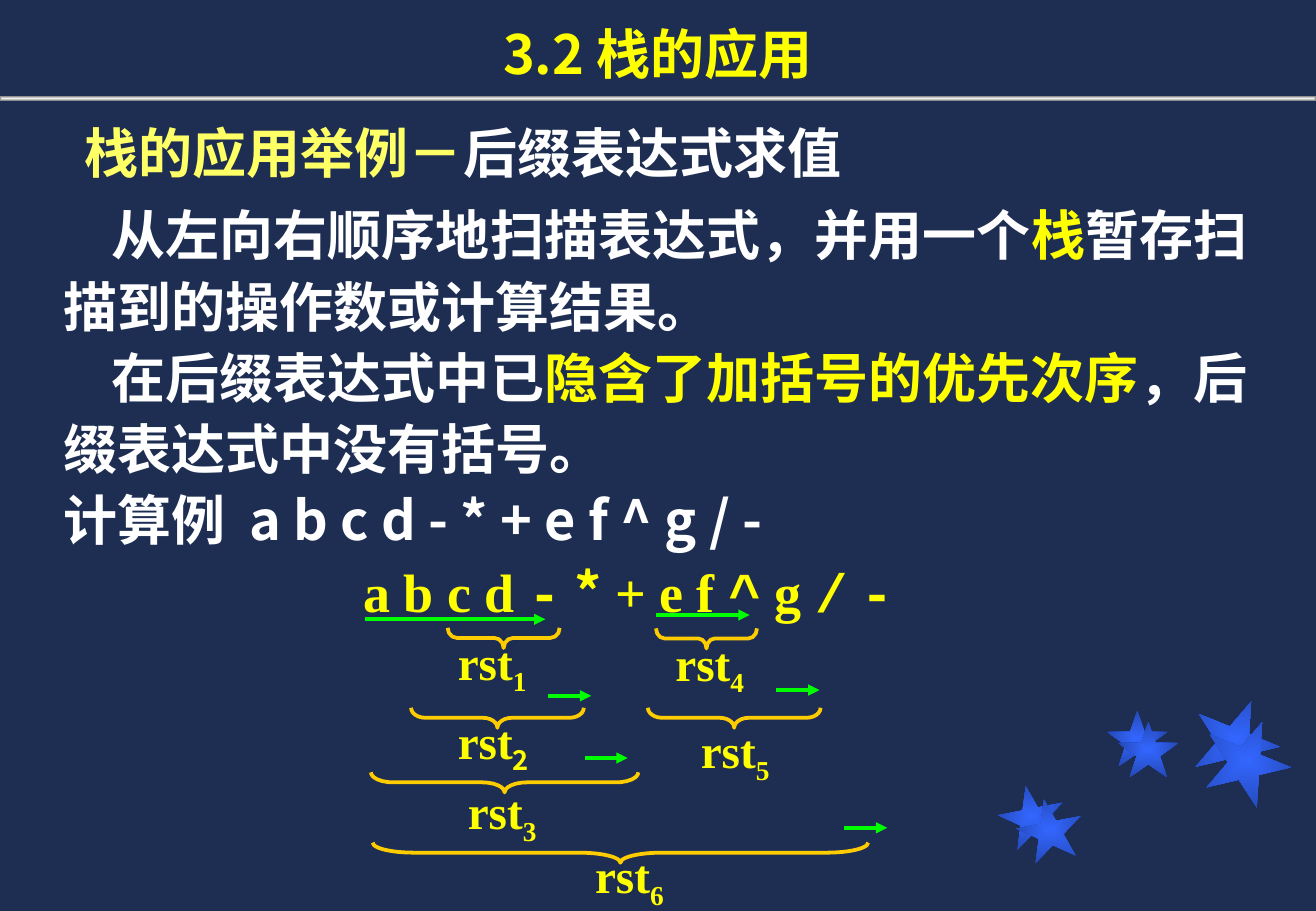
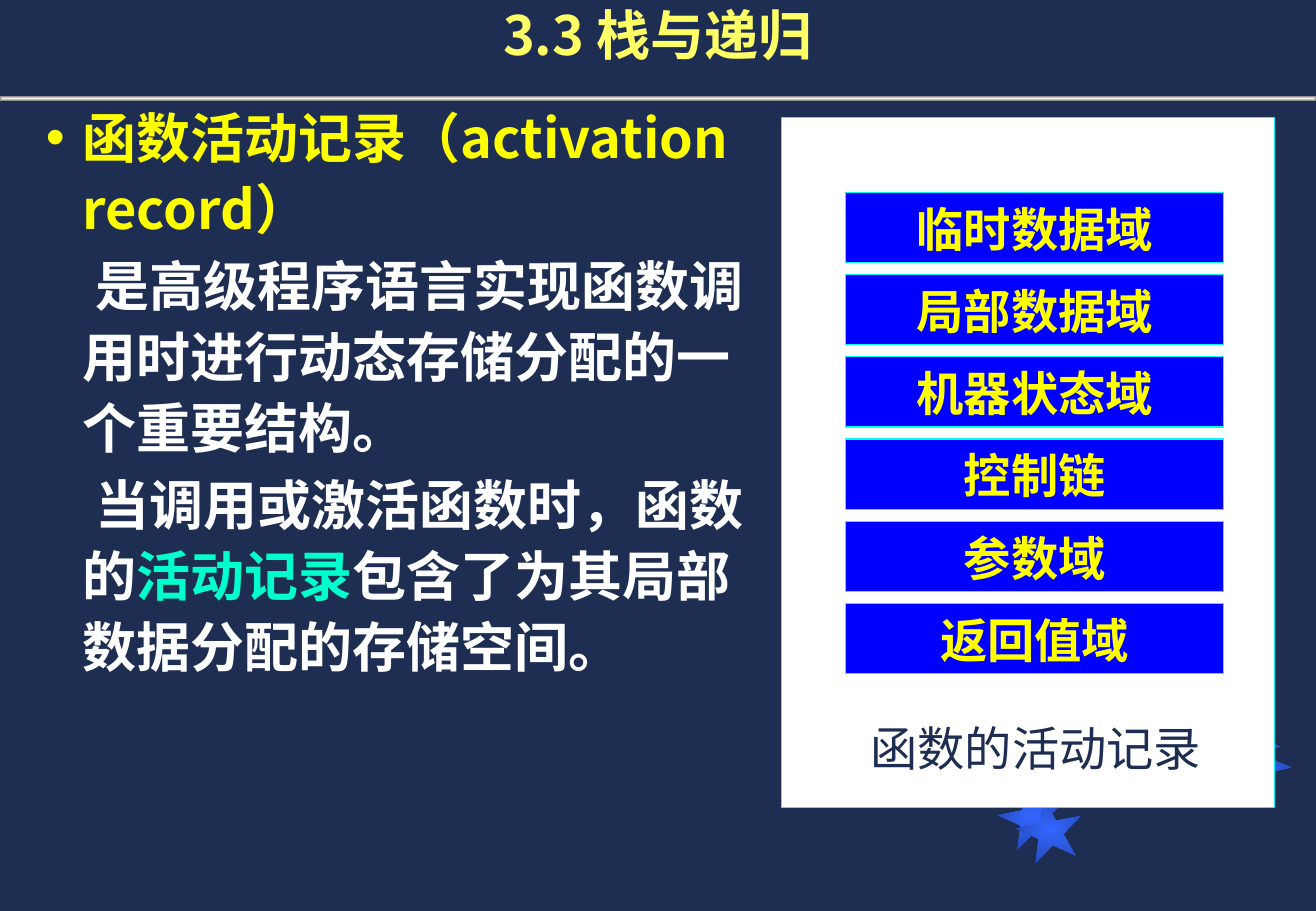
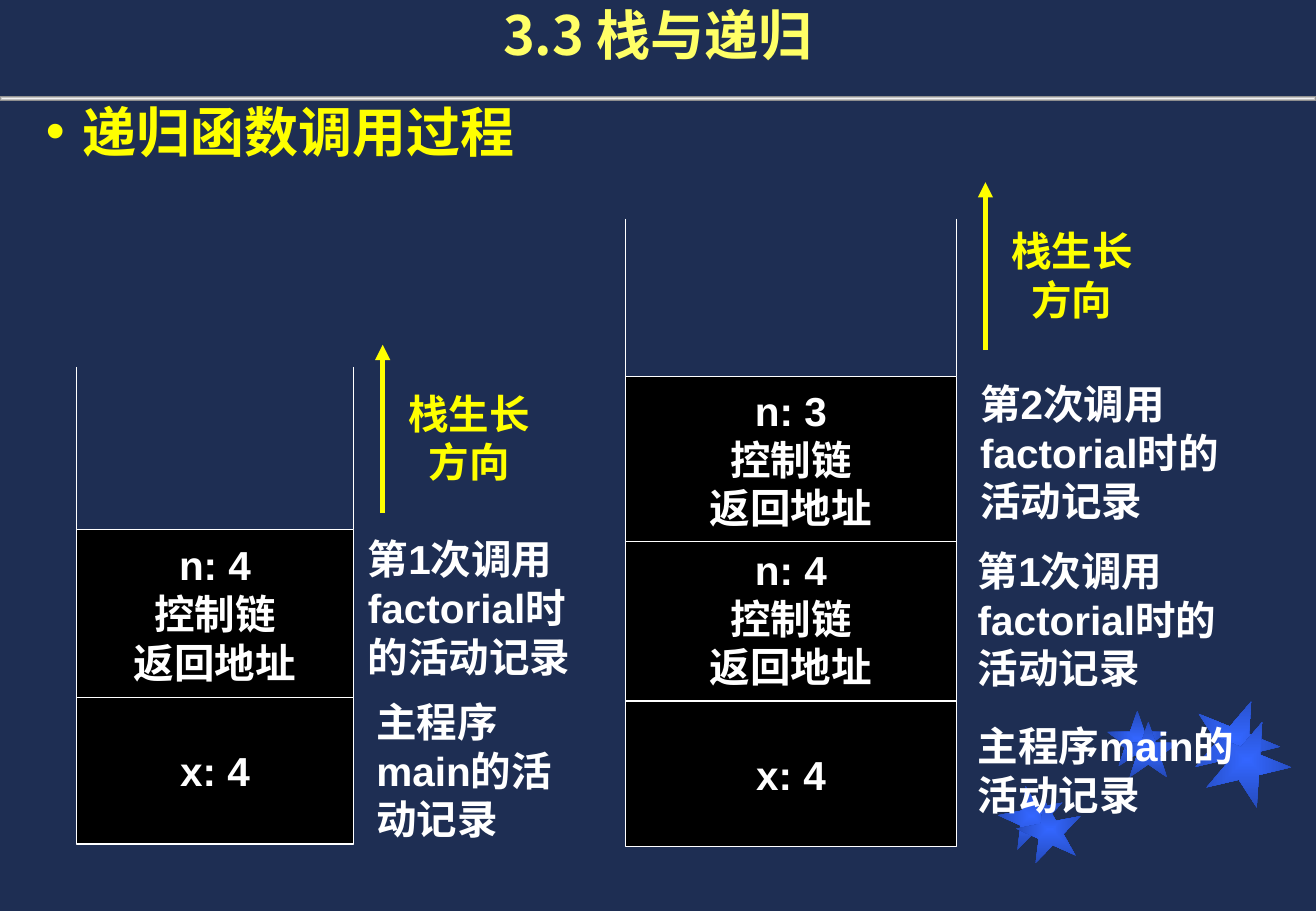
from dataclasses import dataclass

from lxml.etree import SubElement
from pptx import Presentation
from pptx.dml.color import RGBColor
from pptx.enum.shapes import MSO_CONNECTOR, MSO_SHAPE
from pptx.enum.text import MSO_ANCHOR, MSO_AUTO_SIZE, PP_ALIGN
from pptx.oxml.ns import qn
from pptx.util import Cm, Pt


@dataclass(frozen=True)
class Theme:
    navy: str = "1E2E53"
    white: str = "FFFFFF"
    black: str = "000000"
    yellow: str = "FFFF00"
    pale: str = "FFFF66"
    mint: str = "00FFCC"
    gold: str = "FFCC00"
    green: str = "00FF00"
    cyan: str = "00FFFF"
    blue: str = "0000FF"
    star: tuple = ("3366FF", "2449B6")
    bar: tuple = ("F2F2F2", "808080")
    cjk: str = "Noto Sans CJK SC"
    latin: str = "Arial"
    serif: str = "Times New Roman"
    mono: str = "Courier New"
    head: int = 32
    label: int = 28
    small: int = 24


T = Theme()
rgb = RGBColor.from_string


def box(s, x, y, w, h, shape=None, fill=None, line=None, width=0.75,
        anchor=MSO_ANCHOR.TOP, wrap=True):
    """Add a text box, or a preset shape when one is named."""
    at = Cm(x), Cm(y), Cm(w), Cm(h)
    if shape is None:
        sp = s.shapes.add_textbox(*at)
    else:
        sp = s.shapes.add_shape(shape, *at)
        sp.shadow.inherit = False
        if fill:
            sp.fill.solid()
            sp.fill.fore_color.rgb = rgb(fill)
        else:
            sp.fill.background()
        if line:
            sp.line.color.rgb = rgb(line)
            sp.line.width = Pt(width)
        else:
            sp.line.fill.background()
    tf = sp.text_frame
    tf.word_wrap = wrap
    tf.vertical_anchor = anchor
    if not wrap:
        tf.auto_size = MSO_AUTO_SIZE.SHAPE_TO_FIT_TEXT
    return sp


def write(sp, *runs, size=T.head, font=T.cjk, color=T.white, bold=True,
          align=PP_ALIGN.LEFT, spacing=None, before=None, left=0, first=0,
          bullet=None):
    """Add one paragraph; a run is text, or text with its own format."""
    tf = sp.text_frame
    p = tf.add_paragraph() if tf.text else tf.paragraphs[0]
    pPr = p._p.get_or_add_pPr()
    pPr.set("marL", str(Cm(left)))
    pPr.set("indent", str(Cm(first)))
    if bullet:
        SubElement(pPr, qn("a:buFont"), typeface=T.latin)
        SubElement(pPr, qn("a:buChar"), char=bullet)
    p.alignment = align
    if spacing:
        p.line_spacing = spacing
    if before:
        p.space_before = Pt(before)
    for run in runs:
        words, own = (run, {}) if isinstance(run, str) else run
        r = p.add_run()
        r.text = words
        r.font.size = Pt(size)
        r.font.bold = bold
        r.font.color.rgb = rgb(own.get("color", color))
        r.font.name = own.get("font", font)
        rPr = r._r.get_or_add_rPr()
        SubElement(rPr, qn("a:ea"), typeface=T.cjk)
        if own.get("sub"):
            rPr.set("baseline", "-25000")
        if own.get("track"):
            rPr.set("spc", str(own["track"] * 100))


prs = Presentation()
prs.slide_width, prs.slide_height = Cm(27.51), Cm(19.05)
s1, s2, s3 = [prs.slides.add_slide(prs.slide_layouts[6]) for _ in range(3)]

# Master: background, stars and the bar under the title
master = prs.slide_master
master.background.fill.solid()
master.background.fill.fore_color.rgb = rgb(T.navy)
STAR = MSO_SHAPE.STAR_5_POINT
decor = [
    (20.88, 16.43, 1.37, 1.27, STAR, 349),
    (23.14, 14.86, 1.27, 1.17, STAR, 0),
    (24.92, 14.61, 1.83, 1.7, STAR, 22),
    (21.26, 16.71, 1.37, 1.27, STAR, 349),
    (23.37, 15.09, 1.27, 1.17, STAR, 0),
    (25.15, 15.04, 1.83, 1.7, STAR, 22),
    (0, 2.01, 27.51, 0.1, MSO_SHAPE.RECTANGLE, 0),
]
for i, (x, y, w, h, shape, turn) in enumerate(decor):
    sp = box(s1, x, y, w, h, shape)
    sp.rotation = turn
    sp.fill.gradient()
    colors = T.star if shape == STAR else T.bar
    for stop, color, pos in zip(sp.fill.gradient_stops, colors, (0, 1)):
        stop.color.rgb = rgb(color)
        stop.position = pos
    grad = sp.element.spPr.find(qn("a:gradFill"))
    grad.remove(grad.find(qn("a:lin")))
    shade = SubElement(grad, qn("a:path"), path="shape")
    SubElement(shade, qn("a:fillToRect"), l="50000", t="50000", r="50000", b="50000")
    sp.element.nvSpPr.cNvPr.set("id", str(101 + i))
    master.element.cSld.spTree.append(sp.element)

# Titles
for s, words, h, color in [
    (s1, "3.2 栈的应用", 1.9, T.yellow),
    (s2, "3.3 栈与递归", 1.52, T.pale),
    (s3, "3.3 栈与递归", 1.52, T.pale),
]:
    sp = box(s, 0, 0, 27.51, h, anchor=MSO_ANCHOR.BOTTOM)
    write(sp, words, color=color, align=PP_ALIGN.CENTER)

# Slide 1: evaluating a postfix expression
sp = box(s1, 0.79, 2.29, 17.78, 1.7, anchor=MSO_ANCHOR.BOTTOM)
write(sp, ("栈的应用举例－", {"color": T.pale}), "后缀表达式求值",
      align=PP_ALIGN.CENTER)

yellow = {"color": T.yellow}
sp = box(s1, 1.07, 3.96, 25.58, 7.77)
write(sp, "从左向右顺序地扫描表达式，并用一个", ("栈", yellow),
      "暂存扫描到的操作数或计算结果。", spacing=1.1, first=1.02)
write(sp, "在后缀表达式中已", ("隐含了加括号的优先次序", yellow),
      "，后缀表达式中没有括号。", spacing=1.1, first=1.02)
write(sp, "计算例", (" ", {"track": 7}), "a b c d - * + e f ^ g / -", spacing=1.1)

mono = {"font": T.mono}
sp = box(s1, 7.34, 11.56, 11.68, 1.63, wrap=False)
write(sp, "a b c d ", ("-", mono), " ", ("*", {"font": T.cjk}), " + e f ",
      ("^", mono), " g ", ("/", mono), " ", ("-", mono),
      font=T.serif, color=T.yellow)

# Braces (centre, span) with the results below them
thick = 0.42
results = [
    (10.53, 13.34, 2.34, 9.32, 13.11),
    (10.4, 15.01, 3.61, 9.32, 14.76),
    (10.55, 16.36, 5.59, 9.53, 16.23),
    (14.77, 13.35, 2.11, 13.87, 13.13),
    (15.35, 15.01, 3.61, 14.4, 14.96),
    (12.97, 17.83, 10.36, 12.19, 17.58),
]
for n, (cx, cy, span, x, y) in enumerate(results, 1):
    brace = box(s1, cx - thick / 2, cy - span / 2, thick, span,
                MSO_SHAPE.LEFT_BRACE, line=T.gold, width=2.25)
    brace.rotation = 270
    brace.adjustments[0] = span / (12 * thick)
    sp = box(s1, x, y, 2.01, 1.45, wrap=False)
    write(sp, "rst", (str(n), {"sub": True, "font": T.cjk if n == 2 else T.serif}),
          size=T.label, font=T.serif, color=T.yellow)

# Slide 2: activation record
sp = box(s2, 0.71, 1.93, 15.72, 16.56)
write(sp, "函数活动记录（activation record）", color=T.yellow, spacing=1.1,
      left=0.76, first=-0.76, bullet="•")
write(sp, "是高级程序语言实现函数调用时进行动态存储分配的一个重要结构。",
      spacing=1.1, before=3, left=0.76, first=0.27)
write(sp, "当调用或激活函数时，函数的", ("活动记录", {"color": T.mint}),
      "包含了为其局部数据分配的存储空间。",
      spacing=1.1, before=3, left=0.76, first=0.27)

box(s2, 16.33, 2.46, 10.31, 14.43, MSO_SHAPE.RECTANGLE, T.white, T.cyan)
fields = ["临时数据域", "局部数据域", "机器状态域", "控制链", "参数域", "返回值域"]
for i, words in enumerate(fields):
    sp = box(s2, 17.68, 4.02 + 1.72 * i, 7.9, 1.47, MSO_SHAPE.RECTANGLE,
             T.blue, T.cyan, anchor=MSO_ANCHOR.BOTTOM)
    write(sp, words, size=T.label, color=T.yellow, align=PP_ALIGN.CENTER)
sp = box(s2, 17.7, 14.91, 7.9, 1.45, anchor=MSO_ANCHOR.BOTTOM)
write(sp, "函数的活动记录", size=T.label, color=T.navy, bold=False,
      align=PP_ALIGN.CENTER)

# Slide 3: the stack during recursive calls
sp = box(s3, 0.71, 1.93, 26.09, 1.8)
write(sp, "递归函数调用过程", color=T.yellow, left=0.76, first=-0.76, bullet="•")

main = "主程序main的活动记录"
call = "第{}次调用factorial时的活动记录"
frame = ["控制链", "返回地址"]
# Left, width, wall top, wall foot, arrow x, arrow top; then records, bottom up
stacks = [
    (1.6, 5.79, 7.67, 11.07, 8, 7.21, [
        (14.58, 3.07, ["x: 4"], main, 7.62, 14.45, 4.93),
        (11.07, 3.51, ["n: 4", *frame], call.format(1), 7.44, 11.05, 5.21),
    ]),
    (13.08, 6.91, 4.57, 7.87, 20.6, 3.81, [
        (14.66, 3.05, ["x: 4"], main, 20.19, 14.96, 5.87),
        (11.2, 3.45, ["n: 4", *frame], call.format(1), 20.19, 11.3, 6.2),
        (7.87, 3.45, ["n: 3", *frame], call.format(2), 20.24, 7.8, 6.2),
    ]),
]
lines = []
for x, w, top, foot, ax, ay, records in stacks:
    for y, h, content, note, nx, ny, nw in records:
        sp = box(s3, x, y, w, h, MSO_SHAPE.RECTANGLE, T.black, T.white,
                 anchor=MSO_ANCHOR.MIDDLE)
        for words in content:
            write(sp, words, size=T.small, font=T.latin, align=PP_ALIGN.CENTER)
        sp = box(s3, nx, ny, nw, 3.3)
        write(sp, note, size=T.small, font=T.latin)
    sp = box(s3, ax + 0.25, ay + 0.79, 3.12, 2.29)
    write(sp, "栈生长方向", size=T.small, font=T.latin, color=T.yellow,
          align=PP_ALIGN.CENTER)
    lines += [(s3, wx, top, wx, foot, T.white, 0.75, False) for wx in (x, x + w)]
    lines.append((s3, ax, ay + 3.51, ax, ay, T.yellow, 3, True))

# Scan arrows of slide 1, then all the lines
for x, y, length in [
    (7.62, 12.95, 3.78), (11.46, 14.55, 0.9), (12.22, 15.85, 0.9),
    (13.72, 12.86, 1.95), (16.23, 14.43, 0.9), (17.65, 17.31, 0.9),
]:
    lines.append((s1, x, y, x + length, y, T.green, 2.25, True))
for s, x1, y1, x2, y2, color, width, arrow in lines:
    c = s.shapes.add_connector(MSO_CONNECTOR.STRAIGHT, Cm(x1), Cm(y1), Cm(x2), Cm(y2))
    c.line.color.rgb = rgb(color)
    c.line.width = Pt(width)
    if arrow:
        SubElement(c.element.spPr.find(qn("a:ln")), qn("a:tailEnd"), type="triangle")
    SubElement(c.element.spPr, qn("a:effectLst"))

prs.save("out.pptx")
